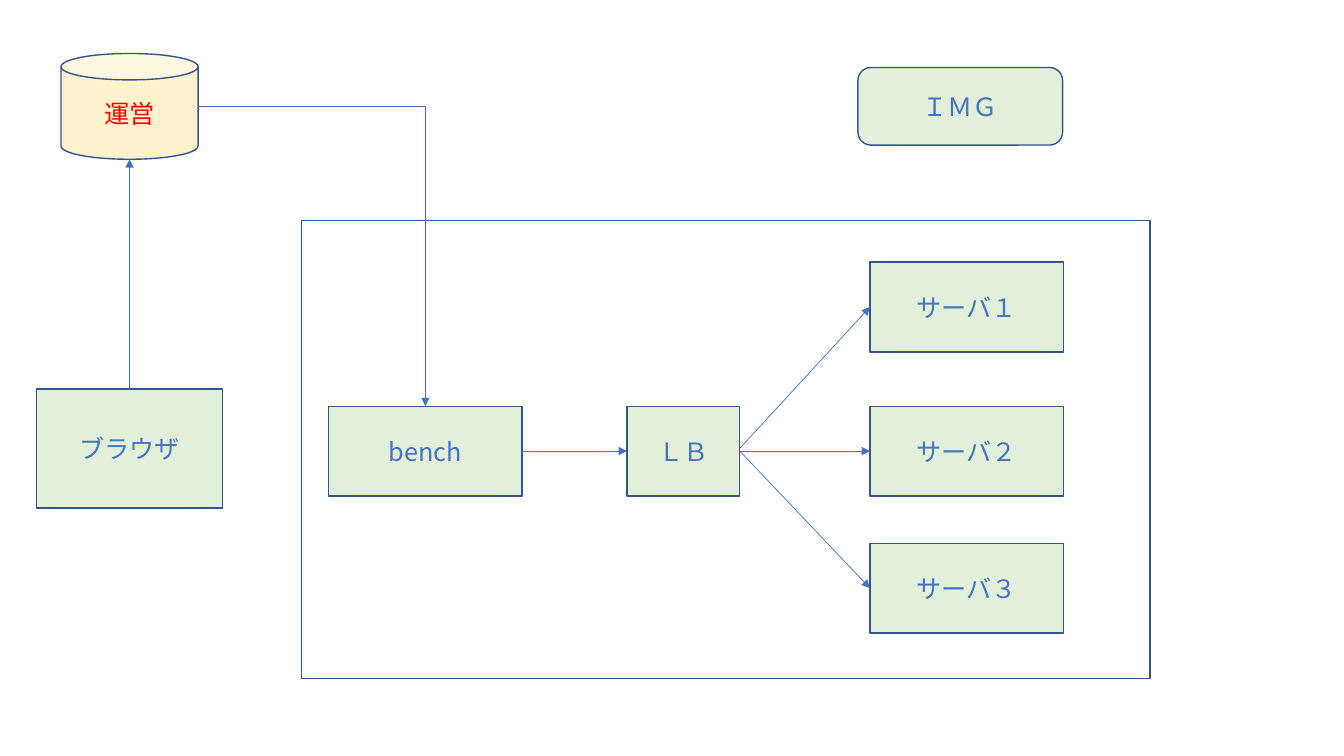
"""Draw the benchmark environment: operations, browser, load balancer and servers."""
from dataclasses import dataclass

import pptx
import pptx.dml.color
import pptx.enum.shapes
import pptx.enum.text
import pptx.oxml
import pptx.oxml.ns
import pptx.util

Kind = pptx.enum.shapes.MSO_SHAPE
Route = pptx.enum.shapes.MSO_CONNECTOR
Point = tuple[float, float]

SLIDE_WIDTH = pptx.util.Inches(13.33)
SLIDE_HEIGHT = pptx.util.Inches(7.5)
COLUMNS = 100
ROWS = 100


@dataclass(frozen=True)
class Theme:
    font: str = "Noto Sans CJK JP"
    text_size: float = 18
    border_width: float = 1
    arrow_width: float = 0.5
    accent: str = "4472C4"
    border: str = "325491"
    green: str = "E2F0D9"
    cream: str = "FFF2CC"
    alert: str = "FF0000"


THEME = Theme()


@dataclass(frozen=True)
class Node:
    column: float
    row: float
    columns: float
    rows: float
    label: str = ""
    kind: Kind = Kind.RECTANGLE
    fill: str | None = THEME.green
    color: str = THEME.accent

    def point(self, across: float, down: float) -> Point:
        return self.column + self.columns * across, self.row + self.rows * down

    @property
    def top(self) -> Point:
        return self.point(0.5, 0)

    @property
    def bottom(self) -> Point:
        return self.point(0.5, 1)

    @property
    def left(self) -> Point:
        return self.point(0, 0.5)

    @property
    def right(self) -> Point:
        return self.point(1, 0.5)


@dataclass(frozen=True)
class Arrow:
    start: Point
    end: Point
    bent: bool = False


def across(columns: float) -> int:
    return round(SLIDE_WIDTH * columns / COLUMNS)


def down(rows: float) -> int:
    return round(SLIDE_HEIGHT * rows / ROWS)


def rgb(value: str) -> pptx.dml.color.RGBColor:
    return pptx.dml.color.RGBColor.from_string(value)


def write(frame, text: str, *, size: float = THEME.text_size,
          color: str = THEME.accent, font: str = THEME.font) -> None:
    frame.word_wrap = True
    frame.vertical_anchor = pptx.enum.text.MSO_ANCHOR.MIDDLE
    paragraph = frame.paragraphs[0]
    paragraph.alignment = pptx.enum.text.PP_ALIGN.CENTER
    run = paragraph.add_run()
    run.text = text
    run.font.size = pptx.util.Pt(size)
    run.font.color.rgb = rgb(color)
    run.font.name = font
    east_asian = pptx.oxml.parse_xml(f'<a:ea {pptx.oxml.ns.nsdecls("a")} typeface="{font}"/>')
    run.font._element.append(east_asian)


def draw_node(slide, node: Node) -> None:
    shape = slide.shapes.add_shape(
        node.kind, across(node.column), down(node.row), across(node.columns), down(node.rows))
    shape.shadow.inherit = False
    if node.fill:
        shape.fill.solid()
        shape.fill.fore_color.rgb = rgb(node.fill)
    else:
        shape.fill.background()
    shape.line.color.rgb = rgb(THEME.border)
    shape.line.width = pptx.util.Pt(THEME.border_width)
    if node.label:
        write(shape.text_frame, node.label, color=node.color)


def draw_arrow(slide, arrow: Arrow) -> None:
    connector = slide.shapes.add_connector(
        Route.ELBOW if arrow.bent else Route.STRAIGHT,
        across(arrow.start[0]), down(arrow.start[1]),
        across(arrow.end[0]), down(arrow.end[1]))
    connector.line.color.rgb = rgb(THEME.accent)
    connector.line.width = pptx.util.Pt(THEME.arrow_width)
    namespace = pptx.oxml.ns.nsdecls("a")
    properties = connector._element.spPr
    if arrow.bent:
        properties.find(pptx.oxml.ns.qn("a:prstGeom")).set("prst", "bentConnector2")
    properties.find(pptx.oxml.ns.qn("a:ln")).append(
        pptx.oxml.parse_xml(f'<a:tailEnd {namespace} type="triangle"/>'))
    properties.append(pptx.oxml.parse_xml(f"<a:effectLst {namespace}/>"))


def main() -> None:
    deck = pptx.Presentation()
    deck.slide_width, deck.slide_height = SLIDE_WIDTH, SLIDE_HEIGHT
    slide = deck.slides.add_slide(deck.slide_layouts[6])

    servers = [Node(64.73, row, 14.4, 11.87, label) for row, label in
               ((34.67, "サーバ１"), (53.73, "サーバ２"), (71.87, "サーバ３"))]
    balancer = Node(46.65, 53.73, 8.4, 11.87, "ＬＢ")
    bench = Node(24.45, 53.73, 14.4, 11.87, "bench")
    environment = Node(22.43, 29.2, 63.15, 60.53, fill=None)
    operations = Node(4.54, 7.07, 10.2, 14, "運営", Kind.CAN, THEME.cream, THEME.alert)
    browser = Node(2.7, 51.47, 13.88, 15.73, "ブラウザ")
    machine_image = Node(63.83, 8.93, 15.23, 10.27, "ＩＭＧ", Kind.ROUNDED_RECTANGLE)

    balancer_exits = (balancer.point(1, 0.47), balancer.right, balancer.right)
    arrows = [
        Arrow(bench.right, balancer.left),
        *(Arrow(start, server.left) for start, server in zip(balancer_exits, servers)),
        Arrow(operations.right, bench.top, bent=True),
        Arrow(browser.top, operations.bottom),
    ]

    for node in (*servers, balancer, bench, environment, operations, browser, machine_image):
        draw_node(slide, node)
    for arrow in arrows:
        draw_arrow(slide, arrow)
    deck.save("out.pptx")


if __name__ == "__main__":
    main()
